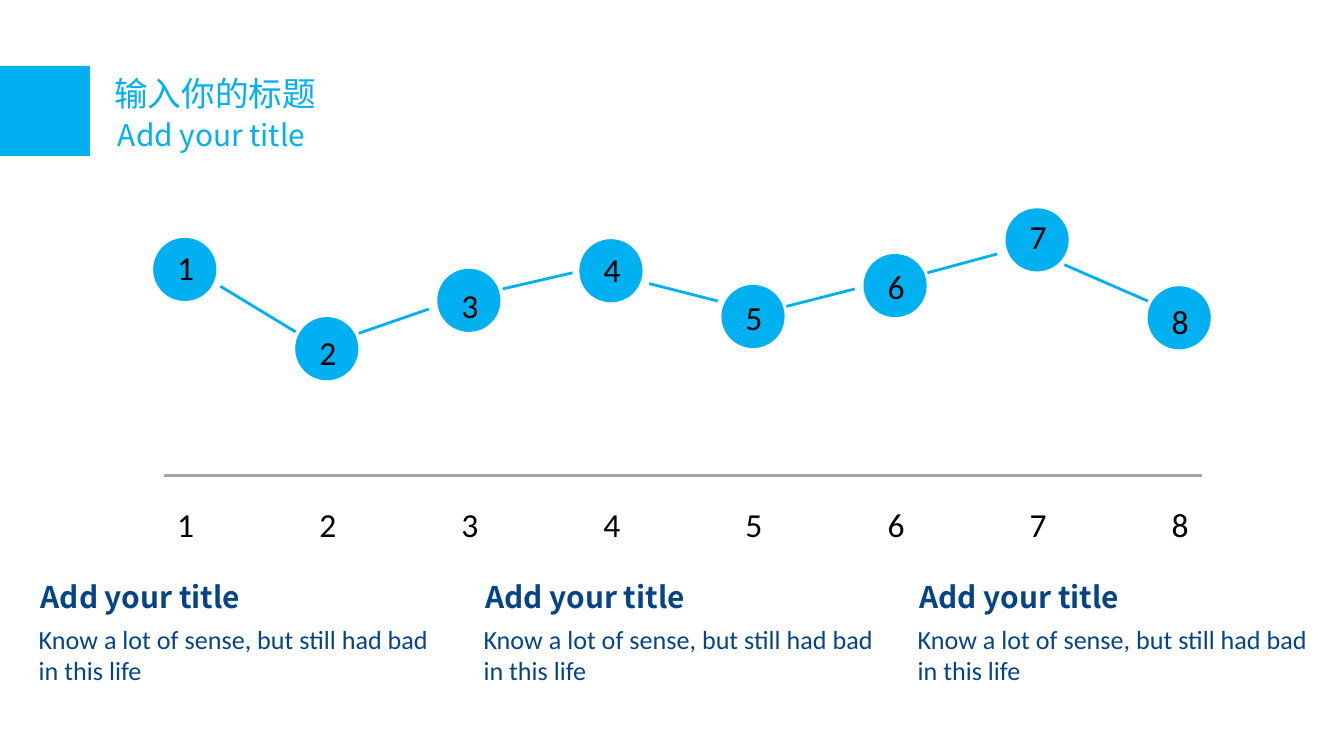
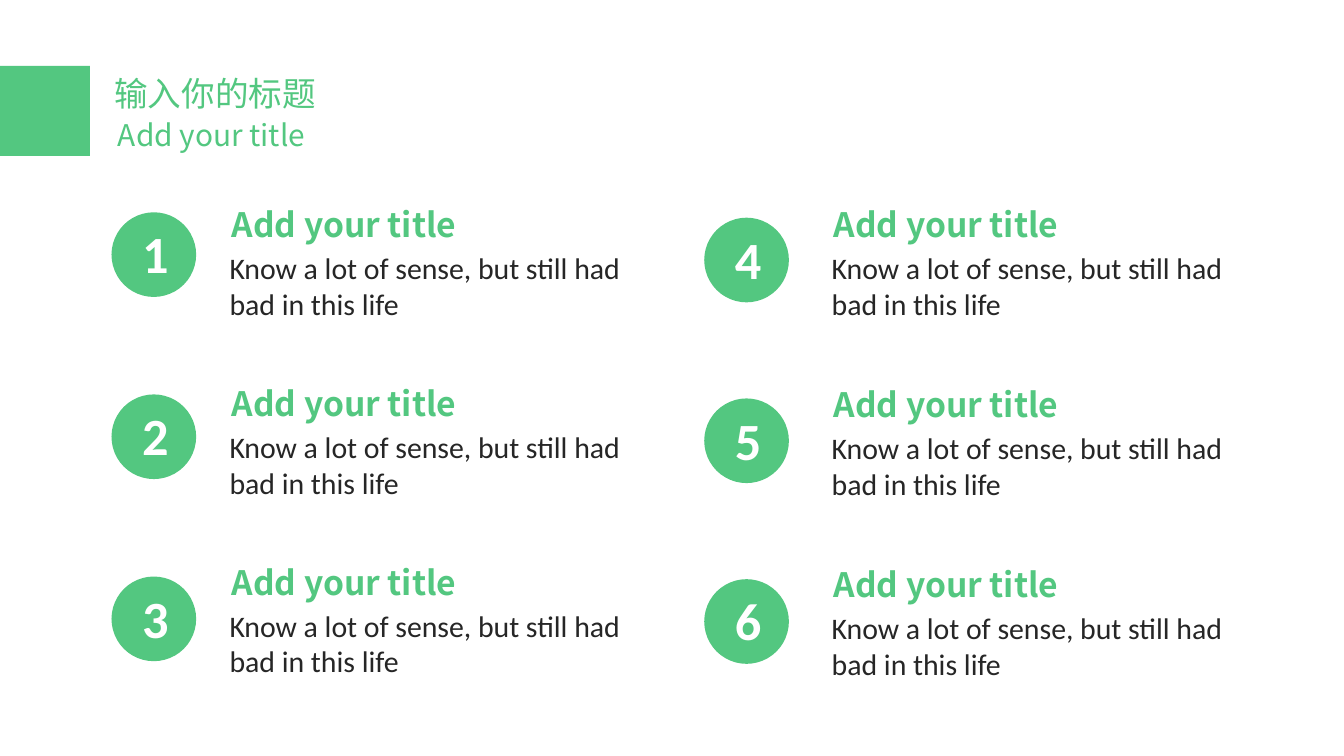
"""Build a two-slide deck: a numbered trend line and a six-point grid."""
from dataclasses import dataclass
from lxml import etree
from pptx import Presentation
from pptx import util as u
from pptx.dml.color import RGBColor
from pptx.enum import shapes, text
from pptx.oxml.ns import qn


@dataclass(frozen=True)
class Theme:
    blue: str = "00B0F0"
    green: str = "53C780"
    navy: str = "054487"
    grey: str = "A6A6A6"
    ink: str = "262626"
    black: str = "000000"
    white: str = "FFFFFF"
    heading_font: str = "Noto Sans CJK SC"
    body_font: str = "Calibri"
    small: int = 14
    medium: int = 16
    large: int = 18
    huge: int = 28
    stroke: float = 1.5


theme = Theme()
deck = Presentation()
deck.slide_width, deck.slide_height = u.Inches(10), u.Inches(5.625)
cell = deck.slide_width / 100
heading = "Add your title"
sentence = "Know a lot of sense, but still had bad in this life"


def write(page, words, at, box=None, size=theme.large, color=theme.black,
          font=theme.body_font, bold=False):
    left, top, width, height = (round(n * cell) for n in at)
    if box is None:
        box = page.shapes.add_textbox(left, top, width, height)
    box.left, box.top, box.width, box.height = left, top, width, height
    frame = box.text_frame
    frame.word_wrap = True
    frame.auto_size = text.MSO_AUTO_SIZE.NONE
    frame.vertical_anchor = text.MSO_ANCHOR.TOP
    para = frame.paragraphs[0]
    para.alignment = text.PP_ALIGN.LEFT
    span = para.add_run()
    span.text = words
    span.font.name, span.font.size, span.font.bold = font, u.Pt(size), bold
    span.font.color.rgb = RGBColor.from_string(color)
    east = etree.SubElement(span.font._element, qn("a:ea"))
    east.set("typeface", font)


def fill_shape(page, kind, left, top, side, color):
    shape = page.shapes.add_shape(kind, *(round(n * cell) for n in (left, top, side, side)))
    shape.shadow.inherit = False
    shape.fill.solid()
    shape.fill.fore_color.rgb = RGBColor.from_string(color)
    shape.line.fill.background()


pages = []
for accent in (theme.blue, theme.green):
    page = deck.slides.add_slide(deck.slide_layouts[5])
    fill_shape(page, shapes.MSO_SHAPE.RECTANGLE, 0, 4.9, 6.7, accent)
    write(page, "输入你的标题", (7.5, 4.9, 17.3, 4), box=page.shapes.title,
          color=accent, font=theme.heading_font)
    write(page, heading, (7.8, 8.2, 17.3, 3.7), size=theme.medium,
          color=accent, font=theme.heading_font)
    pages.append(page)
trend, points = pages

axis = (12.2, 35.4, 89.4, 35.4)
links = [(16.4, 21.3, 22, 24.7), (26.7, 24.8, 31.9, 23), (37.4, 21.5, 42.6, 20.3),
         (48.3, 21.1, 53.4, 22.4), (58.5, 22.8, 63.6, 21.5), (69, 20.3, 74.2, 18.9),
         (79.2, 19.7, 85.4, 22.4)]
for ends in (axis, *links):
    line = trend.shapes.add_connector(
        shapes.MSO_CONNECTOR.STRAIGHT, *(round(n * cell) for n in ends))
    line.line.width = u.Pt(theme.stroke)
    line.line.color.rgb = RGBColor.from_string(theme.grey if ends == axis else theme.blue)
    etree.SubElement(line._element.spPr, qn("a:effectLst"))

disc_tops = (17.7, 23.6, 20, 17.8, 21.2, 18.9, 15.5, 21.3)
label_tops = (17.9, 24.2, 20.7, 18, 21.6, 19.3, 15.6, 21.9)
for index, (disc_top, label_top) in enumerate(zip(disc_tops, label_tops)):
    left = 11.4 + 10.57 * index
    fill_shape(trend, shapes.MSO_SHAPE.OVAL, left, disc_top, 4.7, theme.blue)
    for top in (label_top, 37):
        write(trend, str(index + 1), (left + 0.8, top, 3.1, 4))

for left in (1.9, 35, 67.3):
    write(trend, sentence, (left, 45.9, 31.6, 5.7), size=theme.small, color=theme.navy)
    write(trend, heading, (left + 0.15, 42.6, 22.8, 3.7), size=theme.medium,
          color=theme.navy, font=theme.heading_font, bold=True)

columns = [(8.3, 15.8, 13.55, 16.1, 13.3), (52.4, 16.2, 13.45, 60.9, 13.4)]
for column, (disc_left, disc_top, disc_step, text_left, text_step) in enumerate(columns):
    for row in range(3):
        top = disc_top + disc_step * row
        fill_shape(points, shapes.MSO_SHAPE.OVAL, disc_left, top, 6.3, theme.green)
        write(points, str(column * 3 + row + 1), (disc_left + 1.3, top + 0.2, 3.1, 5.7),
              size=theme.huge, color=theme.white, bold=True)
        top = 14.7 + text_step * row
        write(points, sentence, (text_left, top + 3.4, 31.6, 6.4),
              size=theme.medium, color=theme.ink)
        write(points, heading, (text_left + 0.15, top, 22.8, 4),
              color=theme.green, font=theme.heading_font, bold=True)

deck.save("out.pptx")
